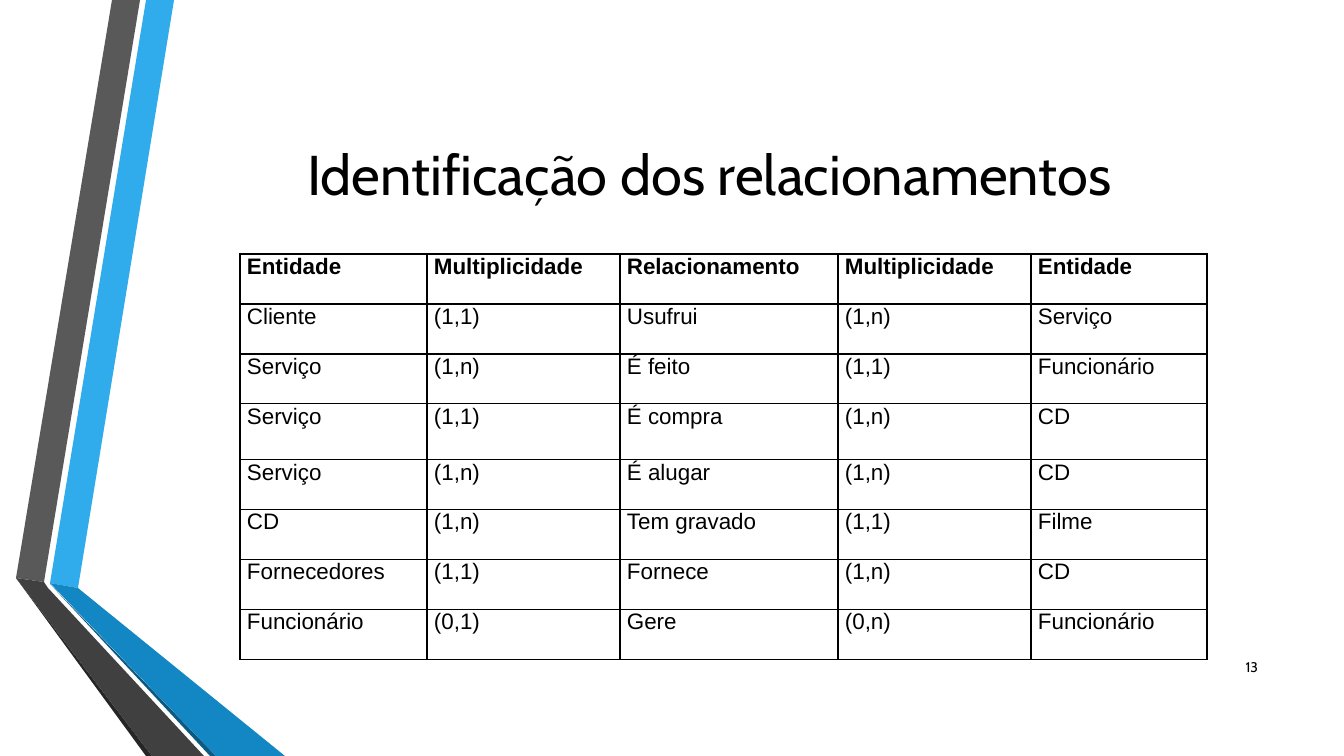
from dataclasses import dataclass

import lxml.etree
import pptx
import pptx.dml.color
import pptx.enum.text
import pptx.oxml.ns
import pptx.util

EMU_PER_PX = 914400 / 100.8
BLACK = "000000"
Align = pptx.enum.text.PP_ALIGN
Anchor = pptx.enum.text.MSO_ANCHOR


@dataclass
class Ribbon:
    color: str
    points: list[tuple[int, int]]


RIBBONS = [
    Ribbon("30ACEC", [(50, 583), (78, 588), (174, 0), (146, 0)]),
    Ribbon("595959", [(140, 0), (112, 0), (16, 578), (44, 582)]),
    Ribbon("262626", [(16, 578), (146, 756), (152, 756)]),
    Ribbon("0C5A82", [(50, 584), (210, 756), (216, 756)]),
    Ribbon("1287C3", [(50, 583), (216, 756), (285, 756), (78, 588)]),
    Ribbon("404040", [(204, 756), (48, 588), (44, 582), (16, 578), (152, 756)]),
]

COLUMN_WIDTHS = [187, 193, 218, 193, 176]
ROW_HEIGHTS = [50, 50, 50, 56, 50, 50, 50, 50]
RELATIONSHIPS = [
    ("Entidade", "Multiplicidade", "Relacionamento", "Multiplicidade", "Entidade"),
    ("Cliente", "(1,1)", "Usufrui", "(1,n)", "Serviço"),
    ("Serviço", "(1,n)", "É feito", "(1,1)", "Funcionário"),
    ("Serviço", "(1,1)", "É compra", "(1,n)", "CD"),
    ("Serviço", "(1,n)", "É alugar", "(1,n)", "CD"),
    ("CD", "(1,n)", "Tem gravado", "(1,1)", "Filme"),
    ("Fornecedores", "(1,1)", "Fornece", "(1,n)", "CD"),
    ("Funcionário", "(0,1)", "Gere", "(0,n)", "Funcionário"),
]


def px(length: int) -> pptx.util.Emu:
    return pptx.util.Emu(round(length * EMU_PER_PX))


def rgb(color: str) -> pptx.dml.color.RGBColor:
    return pptx.dml.color.RGBColor.from_string(color)


def write(text_frame, text: str, *, size: int, font: str = "Cabin",
          color: str = BLACK, bold: bool = False, align=Align.LEFT,
          anchor=Anchor.MIDDLE) -> None:
    text_frame.word_wrap = True
    text_frame.vertical_anchor = anchor
    paragraph = text_frame.paragraphs[0]
    paragraph.alignment = align
    run = paragraph.add_run()
    run.text = text
    run.font.size = pptx.util.Pt(size)
    run.font.name = font
    run.font.bold = bold
    run.font.color.rgb = rgb(color)


def draw_ribbon(slide, ribbon: Ribbon) -> None:
    builder = slide.shapes.build_freeform(*ribbon.points[0], scale=EMU_PER_PX)
    builder.add_line_segments(ribbon.points[1:], close=True)
    shape = builder.convert_to_shape()
    shape.shadow.inherit = False
    shape.fill.solid()
    shape.fill.fore_color.rgb = rgb(ribbon.color)
    shape.line.fill.background()


def add_borders(cell, color: str) -> None:
    qn = pptx.oxml.ns.qn
    properties = cell._tc.get_or_add_tcPr()
    for side in ("lnL", "lnR", "lnT", "lnB"):
        line = lxml.etree.SubElement(properties, qn(f"a:{side}"), w=str(pptx.util.Pt(1)))
        fill = lxml.etree.SubElement(line, qn("a:solidFill"))
        lxml.etree.SubElement(fill, qn("a:srgbClr"), val=color)


def draw_table(slide, left: int, top: int) -> None:
    frame = slide.shapes.add_table(
        len(ROW_HEIGHTS), len(COLUMN_WIDTHS), px(left), px(top),
        px(sum(COLUMN_WIDTHS)), px(sum(ROW_HEIGHTS)))
    table = frame.table
    table.first_row = table.horz_banding = False
    for column, width in zip(table.columns, COLUMN_WIDTHS):
        column.width = px(width)
    for row, height in zip(table.rows, ROW_HEIGHTS):
        row.height = px(height)
    for row_index, values in enumerate(RELATIONSHIPS):
        for column_index, value in enumerate(values):
            cell = table.cell(row_index, column_index)
            cell.margin_left = px(7)
            cell.margin_right = cell.margin_top = cell.margin_bottom = 0
            write(cell.text_frame, value, size=16, font="Arial", bold=row_index == 0)
            cell.vertical_anchor = Anchor.TOP
            add_borders(cell, BLACK)
            cell.fill.background()


def main() -> None:
    presentation = pptx.Presentation()
    presentation.slide_width, presentation.slide_height = px(1344), px(756)
    slide = presentation.slides.add_slide(presentation.slide_layouts[5])

    # Ribbons along the left edge
    for ribbon in RIBBONS:
        draw_ribbon(slide, ribbon)

    # Title
    title = slide.shapes.title
    title.left, title.top, title.width, title.height = px(163), px(76), px(1105), px(194)
    write(title.text_frame, "Identificação dos relacionamentos ", size=40,
          align=Align.CENTER)

    # Slide number
    number = slide.shapes.add_textbox(px(1208), px(647), px(60), px(40))
    write(number.text_frame, "13", size=10, align=Align.RIGHT)

    # Relationships
    draw_table(slide, 240, 254)

    presentation.save("out.pptx")


if __name__ == "__main__":
    main()
